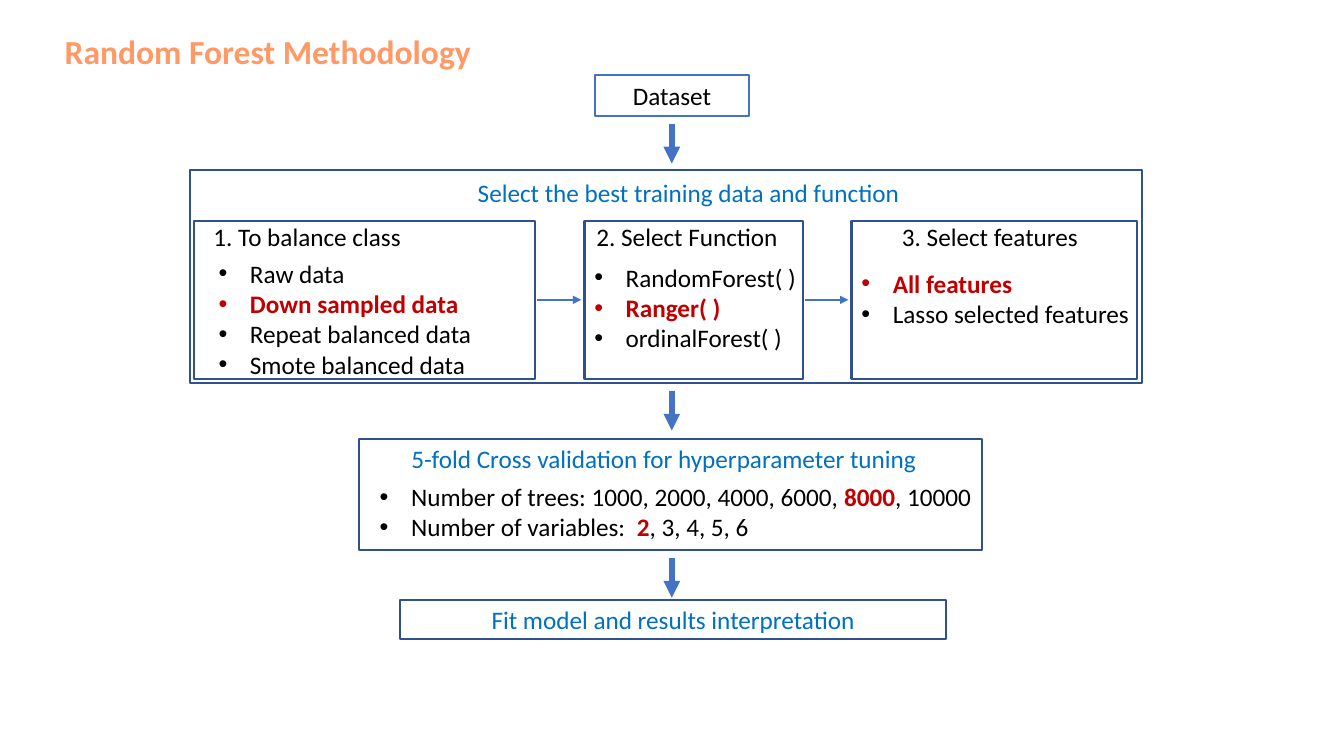
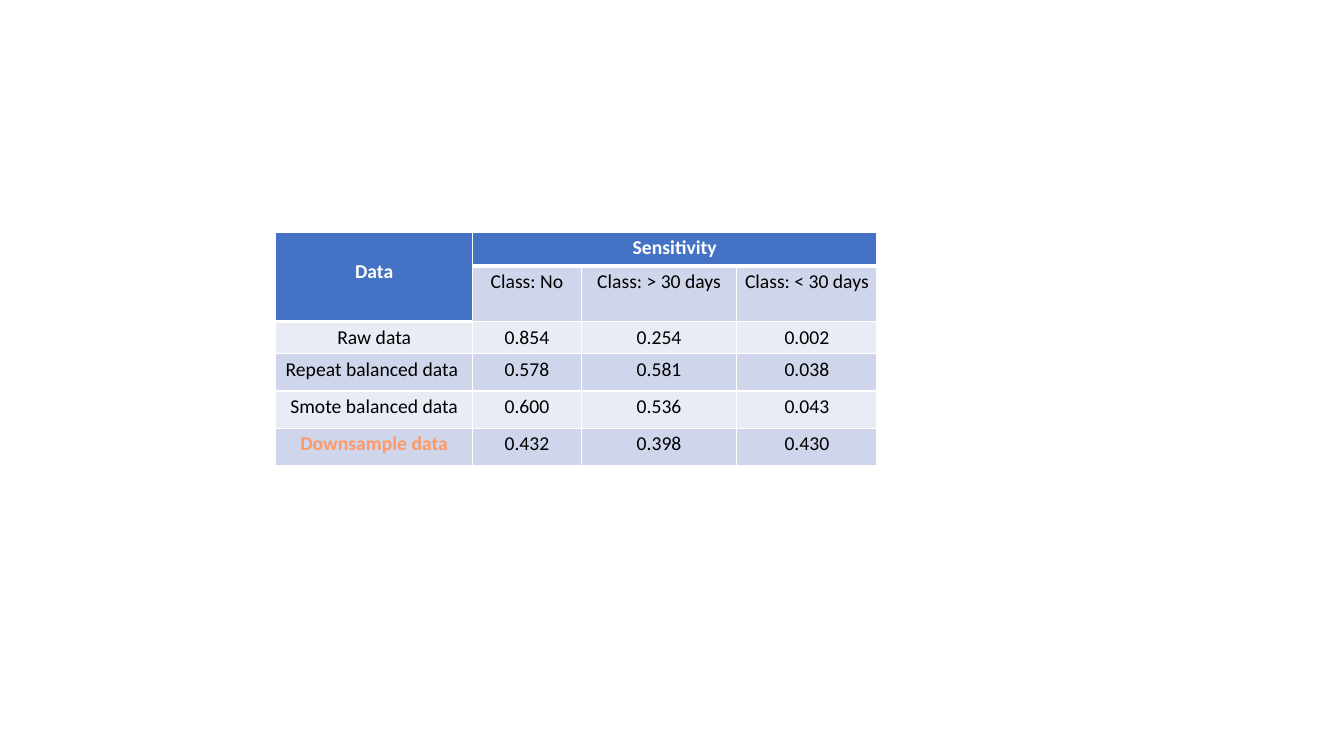
from collections import namedtuple

from lxml.etree import SubElement
from pptx import Presentation
from pptx.dml.color import RGBColor as Rgb
from pptx.enum.shapes import MSO_CONNECTOR as Link, MSO_SHAPE as Preset
from pptx.enum.text import MSO_ANCHOR as Anchor, MSO_AUTO_SIZE as Fit, PP_ALIGN as Align
from pptx.oxml.ns import qn
from pptx.util import Cm, Pt

COLOURS = {
    "orange": "FF9966", "black": "000000", "white": "FFFFFF", "red": "C00000",
    "heading": "0070C0", "accent": "4472C4", "outline": "2F528F",
    "band_dark": "CFD5EA", "band_light": "E9EBF5",
}
FONT = "Calibri"
BODY_SIZE, TITLE_SIZE, TABLE_SIZE = 18, 24, 14
TITLE_LAYOUT, BLANK_LAYOUT = 5, 6
LINE_HEIGHT = 1.02
FLOW_X = 16.93
ARROW_GAP, ARROW_LENGTH = 0.2, 1

Box = namedtuple("Box", "left top width height")
Span = namedtuple("Span", "text colour bold", defaults=("black", False))
Step = namedtuple("Step", "left width heading heading_dx bullet_dx bullet_dy bullets")


def picked(text):
    """The option that was chosen, in bold red."""
    return Span(text, "red", True)


STEPS = [
    Step(4.88, 8.61, "1. To balance class", 0.25, 0.38, 0.82, [
        [Span("Raw data")], [picked("Down sampled data")],
        [Span("Repeat balanced data")], [Span("Smote balanced data")]]),
    Step(14.73, 5.51, "2. Select Function", 0.05, 0, 0.92, [
        [Span("RandomForest( )")], [picked("Ranger( )")], [Span("ordinalForest( )")]]),
    Step(21.46, 7.19, "3. Select features", 1.02, 0, 1.07, [
        [picked("All features")], [Span("Lasso selected features")]]),
]
TUNING = [
    [Span("Number of trees: 1000, 2000, 4000, 6000, "), picked("8000"), Span(", 10000")],
    [Span("Number of variables:  "), picked("2"), Span(", 3, 4, 5, 6")],
]
SENSITIVITY = [
    ["Data", "Sensitivity", "", ""],
    ["", "Class: No", "Class: > 30 days", "Class: < 30 days"],
    ["Raw data", "0.854", "0.254", "0.002"],
    ["Repeat balanced data ", "0.578", "0.581", "0.038"],
    ["Smote balanced data", "0.600", "0.536", "0.043"],
    ["Downsample data", "0.432", "0.398", "0.430"],
]
COLUMN_WIDTHS = [4.96, 2.74, 3.92, 3.53]
ROW_HEIGHTS = [0.85, 1.4, 0.81, 0.94, 0.94, 0.94]


def rgb(name):
    return Rgb.from_string(COLOURS[name])


def in_cm(box):
    return [Cm(length) for length in box]


def add_spans(para, spans, size=BODY_SIZE):
    for span in spans:
        run = para.add_run()
        run.text = span.text
        run.font.name = FONT
        run.font.size = Pt(size)
        run.font.bold = span.bold
        run.font.color.rgb = rgb(span.colour)


def add_bullet(para):
    props = para._p.get_or_add_pPr()
    props.set("marL", str(Cm(0.79)))
    props.set("indent", str(-Cm(0.79)))
    SubElement(props, qn("a:buFont"), typeface="Arial")
    SubElement(props, qn("a:buChar"), char="•")


def add_text(page, box, lines, align=Align.LEFT, bullets=False):
    frame = page.shapes.add_textbox(*in_cm(box)).text_frame
    frame.word_wrap = True
    for index, spans in enumerate(lines):
        para = frame.add_paragraph() if index else frame.paragraphs[0]
        para.alignment = align
        if bullets:
            add_bullet(para)
        add_spans(para, spans)


def add_frame(page, box, outline="outline", label=None):
    """An outlined rectangle, with a centred label if one is given."""
    shape = page.shapes.add_shape(Preset.RECTANGLE, *in_cm(box))
    shape.shadow.inherit = False
    shape.fill.background()
    shape.line.color.rgb = rgb(outline)
    shape.line.width = Pt(1.5)
    if label:
        frame = shape.text_frame
        frame.vertical_anchor = Anchor.MIDDLE
        frame.paragraphs[0].alignment = Align.CENTER
        add_spans(frame.paragraphs[0], [label])


def add_arrow(page, start, end, weight):
    arrow = page.shapes.add_connector(Link.STRAIGHT, *in_cm(start + end))
    arrow.line.color.rgb = rgb("accent")
    arrow.line.width = Pt(weight)
    SubElement(arrow.line._get_or_add_ln(), qn("a:tailEnd"), type="triangle")
    SubElement(arrow._element.spPr, qn("a:effectLst"))


def add_flow_arrow(page, box):
    """The thick arrow that leaves the bottom of a stage."""
    top = box.top + box.height + ARROW_GAP
    add_arrow(page, (FLOW_X, top), (FLOW_X, top + ARROW_LENGTH), 4)


def set_title(page, box, text):
    title = page.shapes.title
    title.left, title.top, title.width, title.height = in_cm(box)
    frame = title.text_frame
    frame.word_wrap = False
    frame.auto_size = Fit.NONE
    frame.vertical_anchor = Anchor.MIDDLE
    frame.paragraphs[0].alignment = Align.CENTER
    add_spans(frame.paragraphs[0], [Span(text, "orange", True)], TITLE_SIZE)


def add_step(page, box, step):
    add_frame(page, box)
    add_text(page, Box(box.left + step.heading_dx, box.top - 0.1,
                       box.width - step.heading_dx, LINE_HEIGHT), [[Span(step.heading)]])
    add_text(page, Box(box.left + step.bullet_dx, box.top + step.bullet_dy,
                       box.width + 0.3, 0.77 * len(step.bullets) + 0.25),
             step.bullets, bullets=True)


def add_selection_panel(page, box):
    add_frame(page, box)
    heading = Span("Select the best training data and function", "heading")
    add_text(page, Box(box.left + 7.01, box.top + 0.05, 12, LINE_HEIGHT), [[heading]])
    top, height = box.top + 1.27, 3.99
    for step in STEPS:
        add_step(page, Box(step.left, top, step.width, height), step)
    middle = top + height / 2
    for step, following in zip(STEPS, STEPS[1:]):
        add_arrow(page, (step.left + step.width + 0.05, middle),
                  (following.left - 0.08, middle), 1.5)


def add_tuning_panel(page, box):
    add_frame(page, box)
    heading = Span("5-fold Cross validation for hyperparameter tuning", "heading")
    add_text(page, Box(box.left - 0.78, box.top - 0.02, 16.94, LINE_HEIGHT),
             [[heading]], Align.CENTER)
    add_text(page, Box(box.left + 0.28, box.top + 0.94, 15.93, 1.8), TUNING, bullets=True)


def build_method_page(deck):
    page = deck.slides.add_slide(deck.slide_layouts[TITLE_LAYOUT])
    set_title(page, Box(1.35, 0.66, 10.8, 1.27), "Random Forest Methodology")
    dataset = Box(14.99, 1.9, 3.89, 1.02)
    selection = Box(4.78, 4.29, 24, 5.36)
    tuning = Box(9.04, 11.07, 15.72, 2.79)
    add_frame(page, dataset, "accent", Span("Dataset"))
    add_selection_panel(page, selection)
    add_tuning_panel(page, tuning)
    add_frame(page, Box(10.08, 15.11, 13.77, 1),
              label=Span("Fit model and results interpretation", "heading"))
    for stage in (dataset, selection, tuning):
        add_flow_arrow(page, stage)


def add_borders(cell, top, bottom):
    props = cell._tc.get_or_add_tcPr()
    for side, weight in (("L", 1), ("R", 1), ("T", top), ("B", bottom)):
        line = SubElement(props, qn(f"a:ln{side}"), w=str(Pt(weight)))
        fill = SubElement(line, qn("a:solidFill"))
        SubElement(fill, qn("a:srgbClr"), val=COLOURS["white"])


def is_header(row, col):
    return row == 0 or (row == 1 and col == 0)


def fill_cell(cell, row, col, text):
    header = is_header(row, col)
    under_header = row > 0 and not header and is_header(row - 1, col)
    ends_header = header and not is_header(row + 1, col)
    add_borders(cell, 3 if under_header else 1, 3 if ends_header else 1)
    cell.fill.solid()
    band = "band_dark" if row % 2 else "band_light"
    cell.fill.fore_color.rgb = rgb("accent" if header else band)
    cell.margin_left = cell.margin_right = cell.margin_top = cell.margin_bottom = Cm(0.1)
    if not text:
        return
    para = cell.text_frame.paragraphs[0]
    para.alignment = Align.CENTER
    chosen = text == "Downsample data"
    colour = "white" if header else "orange" if chosen else "black"
    add_spans(para, [Span(text, colour, header or chosen)], TABLE_SIZE)


def add_sensitivity_table(page, box):
    table = page.shapes.add_table(len(ROW_HEIGHTS), len(COLUMN_WIDTHS), *in_cm(box)).table
    for column, width in zip(table.columns, COLUMN_WIDTHS):
        column.width = Cm(width)
    for row, height in zip(table.rows, ROW_HEIGHTS):
        row.height = Cm(height)
    for row, texts in enumerate(SENSITIVITY):
        for col, text in enumerate(texts):
            fill_cell(table.cell(row, col), row, col, text)
    table.cell(0, 0).merge(table.cell(1, 0))
    table.cell(0, 1).merge(table.cell(0, 3))
    table.cell(0, 0).text_frame.paragraphs[0].line_spacing = 2.0


def build_results_page(deck):
    page = deck.slides.add_slide(deck.slide_layouts[BLANK_LAYOUT])
    add_sensitivity_table(page, Box(6.95, 5.85, sum(COLUMN_WIDTHS), sum(ROW_HEIGHTS)))


def main():
    deck = Presentation()
    deck.slide_width, deck.slide_height = Cm(33.87), Cm(19.05)
    build_method_page(deck)
    build_results_page(deck)
    deck.save("out.pptx")


if __name__ == "__main__":
    main()
